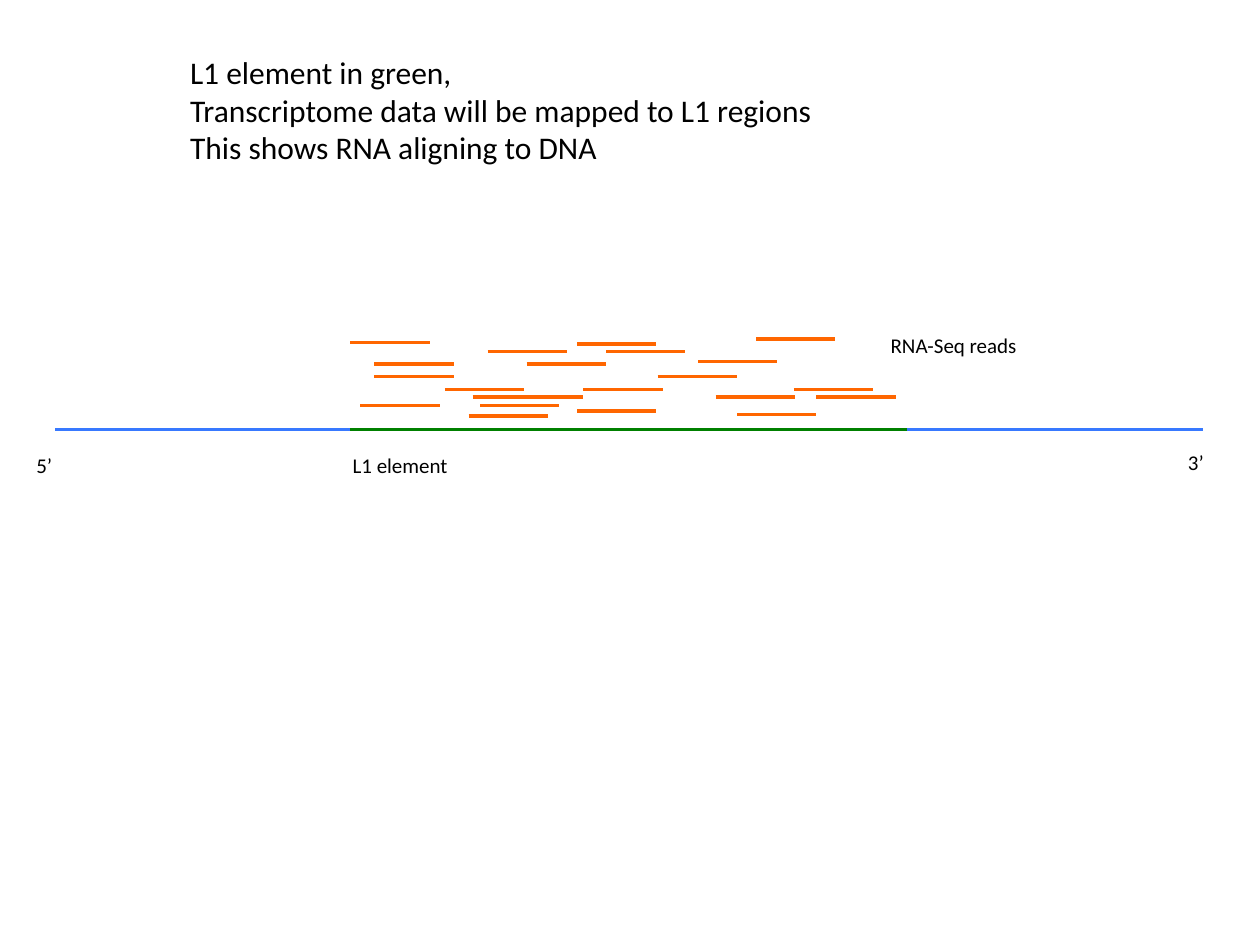
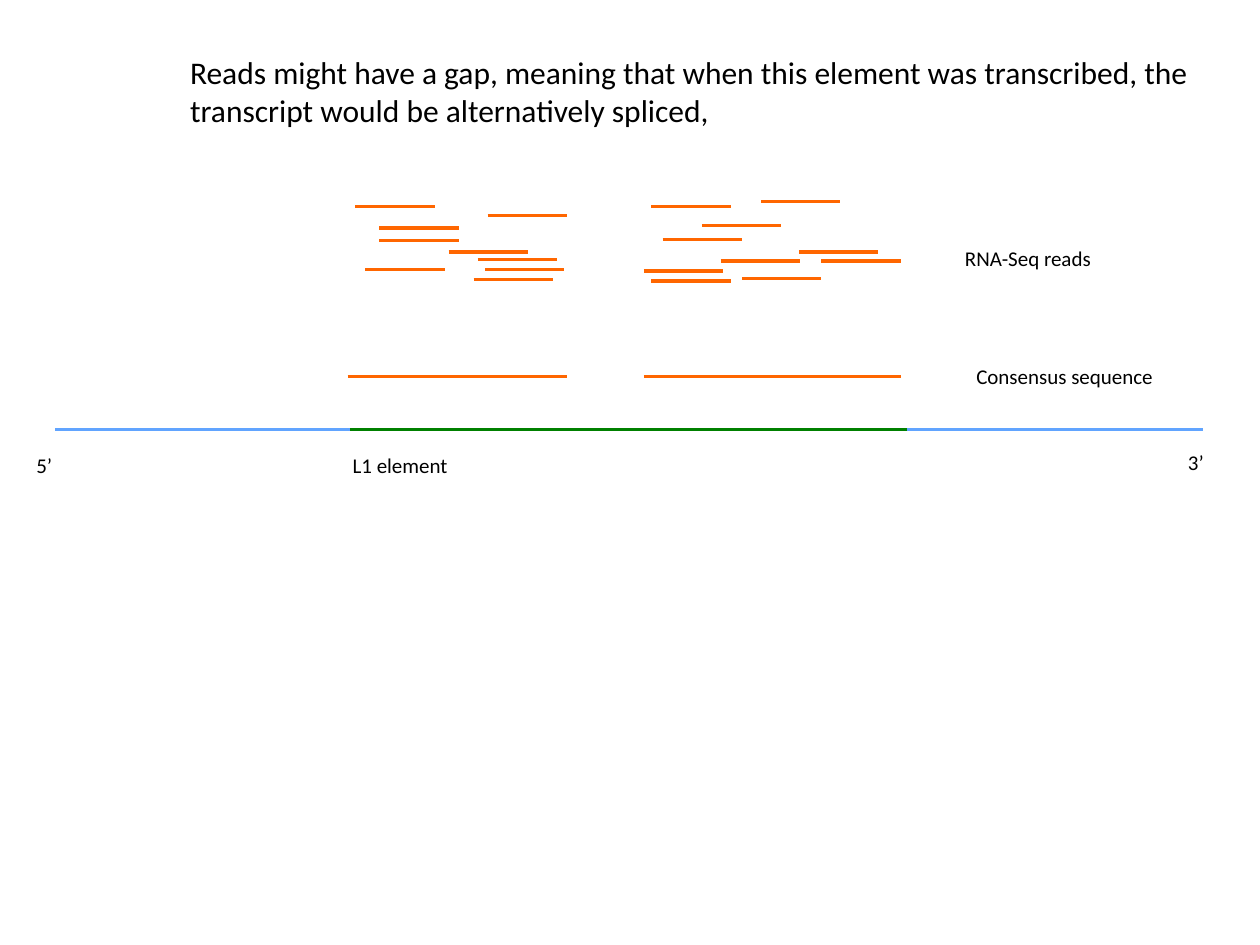
from dataclasses import dataclass

from lxml import etree
from pptx import Presentation
from pptx import util as u
from pptx.dml.color import RGBColor
from pptx.enum import shapes, text
from pptx.oxml.ns import qn


@dataclass(frozen=True)
class Theme:
    """Colours, type sizes and line measures shared by the slides."""
    font: str = "Calibri"
    ink: str = "000000"
    read: str = "FF6600"
    element: str = "008000"
    genome: str = "3879FF"
    genome_light: str = "61A4FF"
    heading_size: int = 18
    label_size: int = 12
    line_width: int = 2
    read_length: float = 0.63


THEME = Theme()
TRACK_BOX = (0.44, 3.41, 9.11)
HEADING_BOX = (1.41, 0.37, 8.72)
LABEL_WIDTH, LABEL_HEIGHT = 1.49, 0.3

MAPPED_READS = [
    (0, 0.03), (0.19, 0.2), (0.08, 0.53), (1.09, 0.1), (2.03, 0.1), (0.75, 0.4),
    (1.4, 0.2), (1.03, 0.53), (0.94, 0.61), (1.8, 0.57), (1.85, 0.4), (2.44, 0.3),
    (2.9, 0.46), (3.07, 0.6), (2.76, 0.18), (3.22, 0), (3.52, 0.4), (3.7, 0.46),
    (1.8, 0.04), (0.97, 0.46), (0.19, 0.3), (1.22, 0.46),
]
GAPPED_READS = [
    (0, 0.04), (0.19, 0.21), (0.08, 0.54), (1.05, 0.11), (2.35, 0.04), (0.74, 0.4),
    (1.03, 0.54), (0.94, 0.62), (2.44, 0.3), (2.9, 0.47), (3.07, 0.61), (2.75, 0.19),
    (3.22, 0), (3.52, 0.4), (3.7, 0.47), (0.97, 0.46), (0.19, 0.31), (2.35, 0.63),
    (2.29, 0.55),
]


def add_strand(s, left, top, length, color):
    """Draw one horizontal stretch of sequence."""
    sp = s.shapes.add_connector(
        shapes.MSO_CONNECTOR.STRAIGHT, u.Inches(left), u.Inches(top),
        u.Inches(left + length), u.Inches(top))
    sp.line.color.rgb = RGBColor.from_string(color)
    sp.line.width = u.Pt(THEME.line_width)
    etree.SubElement(sp._element.spPr, qn("a:effectLst"))


def add_text(s, box, lines, size, align=text.PP_ALIGN.LEFT):
    """Write paragraphs of one size in a wrapped text box."""
    tf = s.shapes.add_textbox(*map(u.Inches, box)).text_frame
    tf.word_wrap = True
    tf.auto_size = text.MSO_AUTO_SIZE.SHAPE_TO_FIT_TEXT
    tf.text = "\n".join(lines)
    for p in tf.paragraphs:
        p.alignment = align
        p.font.name = THEME.font
        p.font.size = u.Pt(size)
        p.font.color.rgb = RGBColor.from_string(THEME.ink)


def add_label(s, left, top, words, width=LABEL_WIDTH, align=text.PP_ALIGN.LEFT):
    """Write a one-line label."""
    add_text(s, (left, top, width, LABEL_HEIGHT), [words], THEME.label_size, align)


def add_heading(s, lines, height):
    """Write the statement at the top of the slide."""
    add_text(s, (*HEADING_BOX, height), lines, THEME.heading_size)


def add_genome_track(s, box, color):
    """Draw the DNA strand with its L1 element and end labels."""
    left, top, length = box
    add_strand(s, left, top, length, color)
    add_strand(s, left + 2.34, top, 4.42, THEME.element)
    add_label(s, left + 2.26, top + 0.13, "L1 element")
    add_label(s, left - 0.25, top + 0.13, "5’ ")
    add_label(s, left + length - 1.35, top + 0.11, "3’ ", align=text.PP_ALIGN.RIGHT)


def add_reads(s, left, top, offsets, label_offset):
    """Scatter equal reads from a corner and label the group."""
    for dx, dy in offsets:
        add_strand(s, left + dx, top + dy, THEME.read_length, THEME.read)
    dx, dy = label_offset
    add_label(s, left + dx, top + dy, "RNA-Seq reads")


def add_consensus(s, left, top):
    """Draw the two consensus pieces around the gap."""
    for dx, length in ((0, 1.74), (2.35, 2.04)):
        add_strand(s, left + dx, top, length, THEME.read)
    add_label(s, left + 4.89, top - 0.15, "Consensus sequence", width=1.67)


def build_mapping_slide(prs):
    """Show reads aligned along the whole L1 element."""
    s = prs.slides.add_slide(prs.slide_layouts[6])
    add_heading(s, ["L1 element in green, ",
                    "Transcriptome data will be mapped to L1 regions",
                    "This shows RNA aligning to DNA"], 1.01)
    add_genome_track(s, TRACK_BOX, THEME.genome)
    add_reads(s, 2.78, 2.69, MAPPED_READS, (4.19, -0.1))


def build_gap_slide(prs):
    """Show reads that leave a gap, with their consensus."""
    s = prs.slides.add_slide(prs.slide_layouts[6])
    add_heading(s, ["Reads might have a gap, meaning that when this element was "
                    "transcribed, the transcript would be alternatively spliced, "], 0.71)
    add_genome_track(s, TRACK_BOX, THEME.genome_light)
    add_reads(s, 2.82, 1.6, GAPPED_READS, (4.74, 0.3))
    add_consensus(s, 2.76, 2.99)


def main():
    """Build and save the presentation."""
    prs = Presentation()
    prs.slide_width, prs.slide_height = u.Inches(10), u.Inches(7.5)
    build_mapping_slide(prs)
    build_gap_slide(prs)
    prs.save("out.pptx")


main()
